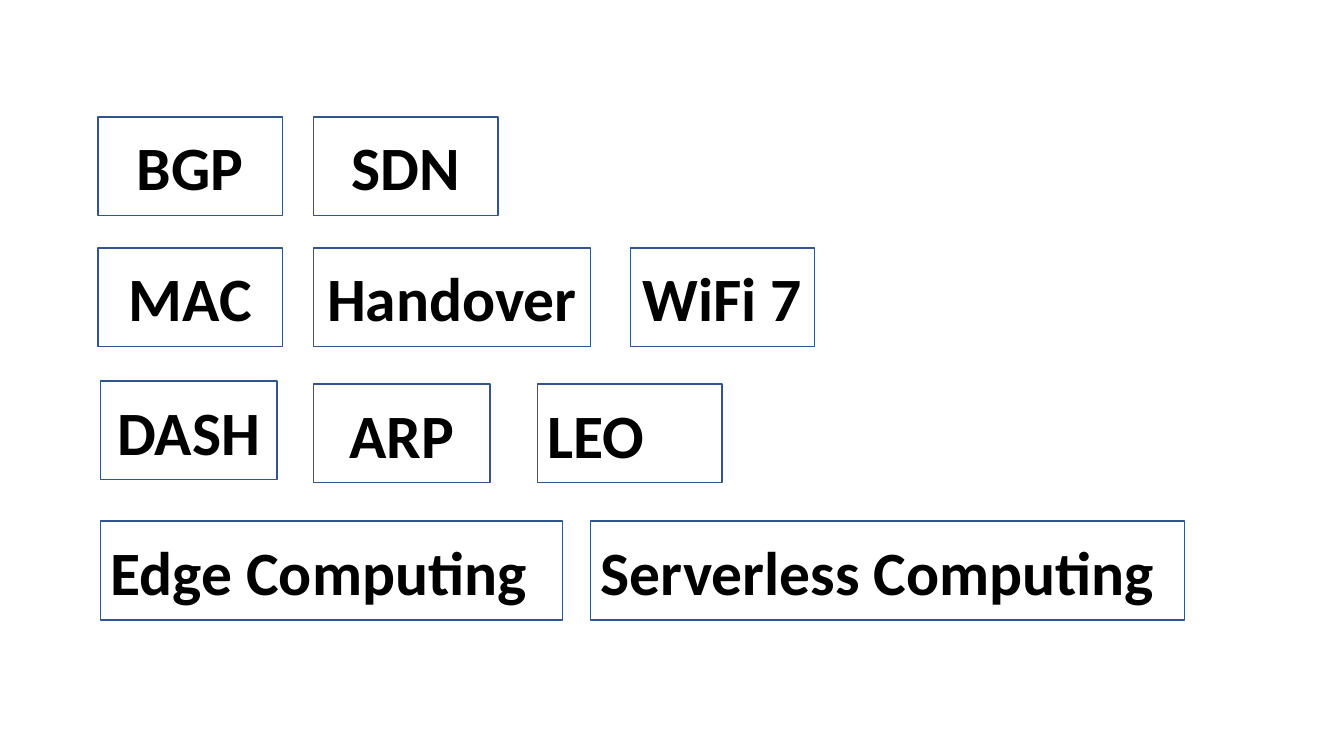
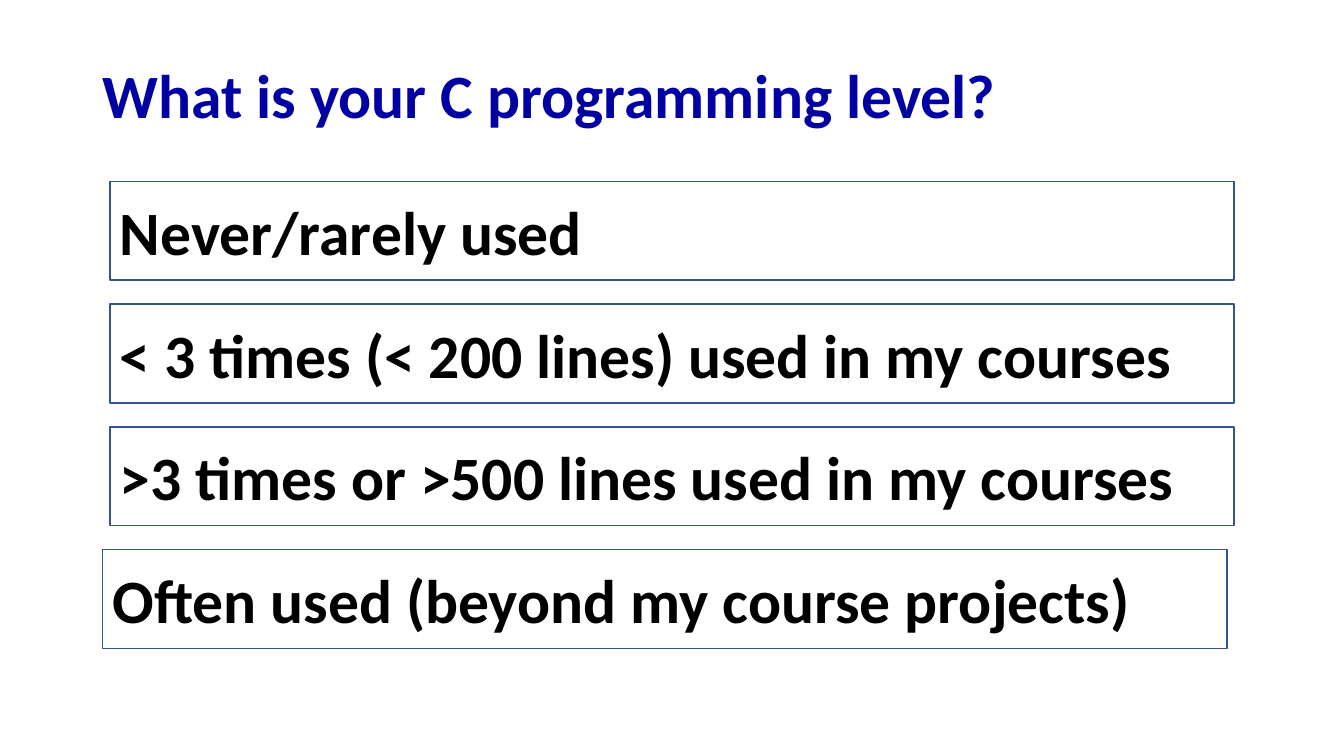
from dataclasses import dataclass

import pptx
import pptx.dml.color
import pptx.enum.shapes
import pptx.enum.text
import pptx.presentation
import pptx.slide
import pptx.text.text
import pptx.util

# Shared style
WIDE, HIGH = 13.33, 7.5
FONT, SIZE = "Calibri", 44
BLACK, NAVY, EDGE = "000000", "0000A3", "325491"
TALL = 13.07  # height of every box and of the title
LEFT = pptx.enum.text.PP_ALIGN.LEFT
MID = pptx.enum.text.PP_ALIGN.CENTER


@dataclass(frozen=True)
class Box:
    """A framed term; lengths are percent of the slide."""
    text: str
    left: float
    top: float
    width: float
    align: pptx.enum.text.PP_ALIGN = LEFT


# Terms: columns, rows and widths
COL_A, COL_B = 7.28, 23.33
ROW_A, ROW_B, ROW_C, ROW_D = 15.47, 32.8, 50.8, 68.93
SLIM, NORM = 13.13, 13.73
TERMS = [
    Box("BGP", COL_A, ROW_A, NORM, MID),
    Box("SDN", COL_B, ROW_A, NORM, MID),
    Box("MAC", COL_A, ROW_B, NORM, MID),
    Box("Handover", COL_B, ROW_B, 20.63, MID),
    Box("WiFi 7", 46.89, ROW_B, NORM, MID),
    Box("DASH", 7.5, 50.4, SLIM, MID),
    Box("ARP", COL_B, ROW_C, SLIM, MID),
    Box("LEO", 39.98, ROW_C, NORM),
    Box("Edge Computing", 7.5, ROW_D, 34.36),
    Box("Serverless Computing", 43.96, ROW_D, 44.19),
]

# Levels: one stack with an even step
START, STEP, SPAN = 24, 16.24, 83.65
LEVELS = [
    ("Never/rarely used", 8.18),
    ("< 3 times (< 200 lines) used in my courses", 8.18),
    (">3 times or >500 lines used in my courses", 8.18),
    ("Often used (beyond my course projects)", 7.65),
]


def tint(code: str) -> pptx.dml.color.RGBColor:
    return pptx.dml.color.RGBColor.from_string(code)


def across(share: float) -> pptx.util.Length:
    return pptx.util.Inches(WIDE * share / 100)


def down(share: float) -> pptx.util.Length:
    return pptx.util.Inches(HIGH * share / 100)


def write(frame: pptx.text.text.TextFrame, text: str, shade: str,
          align: pptx.enum.text.PP_ALIGN) -> None:
    frame.text = text
    frame.word_wrap = True
    frame.auto_size = pptx.enum.text.MSO_AUTO_SIZE.NONE
    frame.vertical_anchor = pptx.enum.text.MSO_ANCHOR.MIDDLE
    line = frame.paragraphs[0]
    line.alignment = align
    font = line.runs[0].font
    font.name, font.size, font.bold = FONT, pptx.util.Pt(SIZE), True
    font.color.rgb = tint(shade)


def draw(slide: pptx.slide.Slide, box: Box) -> None:
    shape = slide.shapes.add_shape(
        pptx.enum.shapes.MSO_SHAPE.RECTANGLE, across(box.left),
        down(box.top), across(box.width), down(TALL))
    shape.shadow.inherit = False
    shape.fill.background()
    shape.line.color.rgb = tint(EDGE)
    shape.line.width = pptx.util.Pt(1)
    write(shape.text_frame, box.text, BLACK, box.align)


def head(slide: pptx.slide.Slide, text: str) -> None:
    title = slide.shapes.title
    title.left, title.top = across(6.9), down(6.53)
    title.width, title.height = across(86.27), down(TALL)
    write(title.text_frame, text, NAVY, LEFT)
    title.text_frame.paragraphs[0].line_spacing = 0.9


def terms(deck: pptx.presentation.Presentation) -> None:
    slide = deck.slides.add_slide(deck.slide_layouts.get_by_name("Blank"))
    for box in TERMS:
        draw(slide, box)


def levels(deck: pptx.presentation.Presentation) -> None:
    slide = deck.slides.add_slide(
        deck.slide_layouts.get_by_name("Title Only"))
    head(slide, "What is your C programming level?")
    for row, (text, left) in enumerate(LEVELS):
        draw(slide, Box(text, left, START + row * STEP, SPAN))


def main() -> None:
    deck = pptx.Presentation()
    deck.slide_width = pptx.util.Inches(WIDE)
    deck.slide_height = pptx.util.Inches(HIGH)
    terms(deck)
    levels(deck)
    deck.save("out.pptx")


if __name__ == "__main__":
    main()
